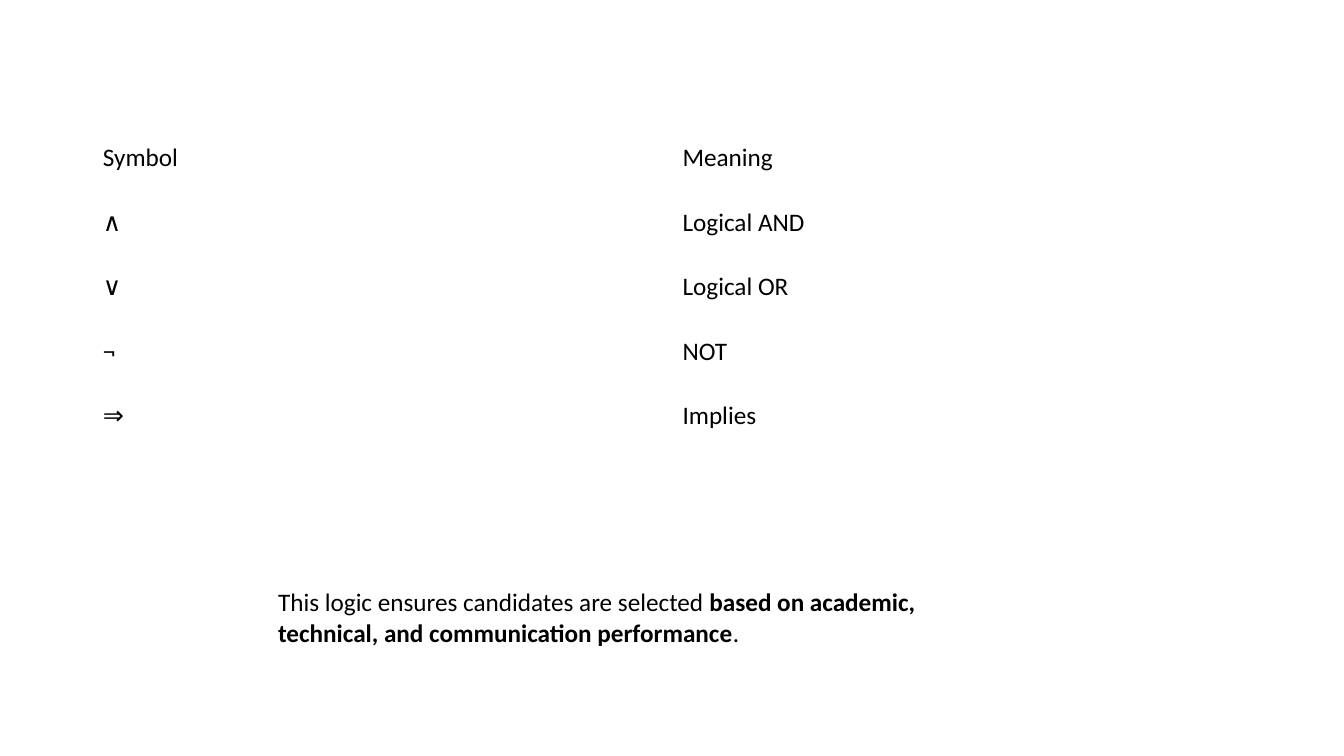
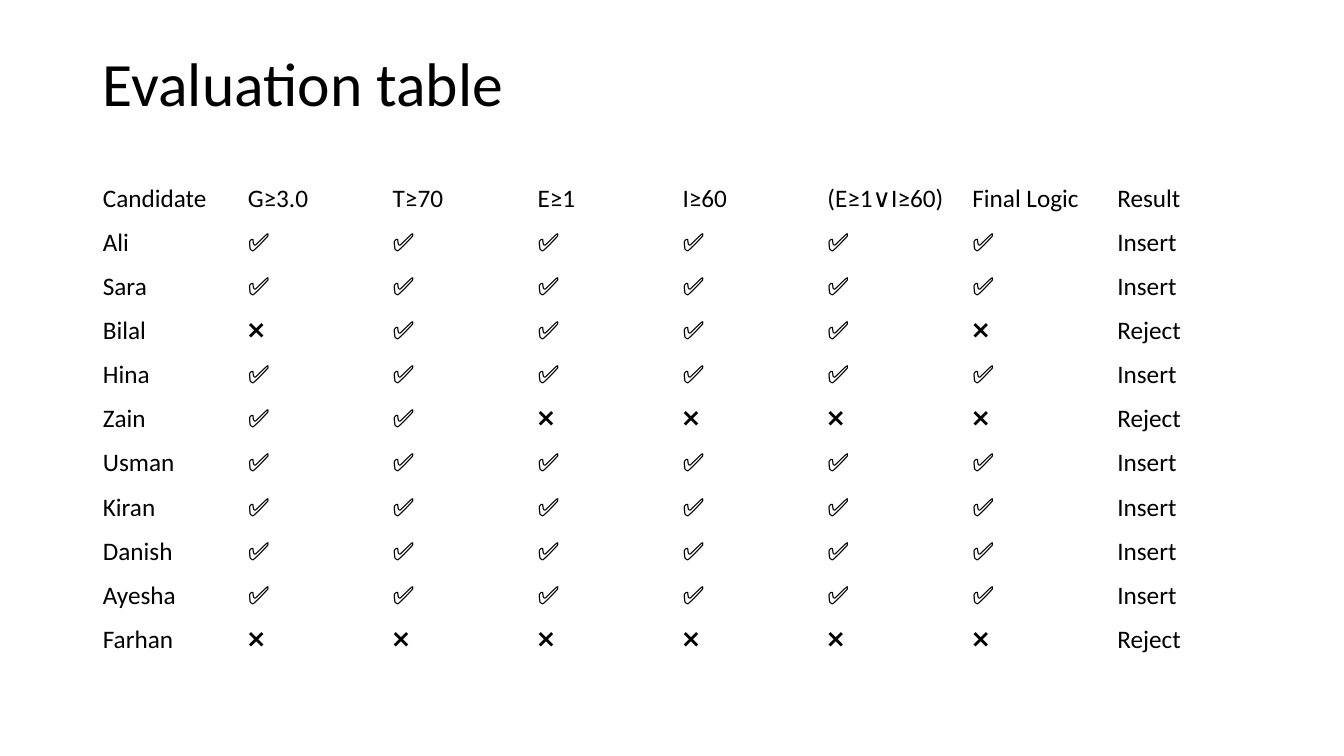
from pptx import Presentation
from pptx.dml.color import RGBColor
from pptx.enum.text import MSO_ANCHOR as Anchor, MSO_AUTO_SIZE as AutoSize, PP_ALIGN as Align
from pptx.util import Inches, Pt

COLORS = {"text": "000000", "background": "FFFFFF"}
FONT = "Calibri"
BODY_SIZE, TITLE_SIZE = 18, 44
LEFT, CONTENT_WIDTH = 0.92, 11.5
TITLE_ONLY, BLANK = 5, 6

SYMBOLS = [
    ("Symbol", "Meaning"),
    ("∧", "Logical AND"),
    ("∨", "Logical OR"),
    ("¬", "NOT"),
    ("⇒", "Implies"),
]
CONCLUSION = [
    ("This logic ensures candidates are selected ", False),
    ("based on academic, technical, and communication performance", True),
    (".", False),
]
EVALUATION_HEADER = (
    "Candidate", "G≥3.0", "T≥70", "E≥1", "I≥60", "(E≥1∨I≥60)", "Final Logic", "Result",
)
CANDIDATES = ["Ali", "Sara", "Bilal", "Hina", "Zain", "Usman", "Kiran", "Danish", "Ayesha", "Farhan"]
FAILED_CHECKS = {"Bilal": "G", "Zain": "EI", "Farhan": "GTEI"}


def style_paragraph(para, size=BODY_SIZE):
    for span in para.runs:
        span.font.name = FONT
        span.font.size = Pt(size)
        span.font.color.rgb = RGBColor.from_string(COLORS["text"])


def add_page(deck, layout):
    page = deck.slides.add_slide(deck.slide_layouts[layout])
    page.background.fill.solid()
    page.background.fill.fore_color.rgb = RGBColor.from_string(COLORS["background"])
    return page


def add_title(page, text, box):
    title = page.shapes.title
    title.left, title.top, title.width, title.height = map(Inches, box)
    frame = title.text_frame
    frame.text = text
    frame.vertical_anchor = Anchor.MIDDLE
    para = frame.paragraphs[0]
    para.alignment = Align.LEFT
    para.line_spacing = 0.9
    style_paragraph(para, TITLE_SIZE)


def add_plain_table(page, rows, box):
    left, top, width, height = map(Inches, box)
    table = page.shapes.add_table(len(rows), len(rows[0]), left, top, width, height).table
    table.first_row = table.horz_banding = False
    for row_index, row in enumerate(rows):
        for column_index, text in enumerate(row):
            cell = table.cell(row_index, column_index)
            cell.fill.background()
            cell.vertical_anchor = Anchor.MIDDLE
            cell.text = text
            style_paragraph(cell.text_frame.paragraphs[0])


def add_conclusion(page, spans, box):
    frame = page.shapes.add_textbox(*map(Inches, box)).text_frame
    frame.word_wrap = True
    frame.auto_size = AutoSize.SHAPE_TO_FIT_TEXT
    para = frame.paragraphs[0]
    for text, bold in spans:
        span = para.add_run()
        span.text = text
        span.font.bold = bold
    style_paragraph(para)


def evaluate(name):
    grade, test, experience, interview = (
        check not in FAILED_CHECKS.get(name, "") for check in "GTEI"
    )
    either = experience or interview
    final = grade and test and either
    checks = (grade, test, experience, interview, either, final)
    marks = ["✅" if passed else "❌" for passed in checks]
    return [name, *marks, "Insert" if final else "Reject"]


def add_symbols_page(deck):
    page = add_page(deck, BLANK)
    add_plain_table(page, SYMBOLS, (LEFT, 1.25, CONTENT_WIDTH, 3.2))
    add_conclusion(page, CONCLUSION, (2.66, 5.77, 6.66, 0.71))


def add_evaluation_page(deck):
    page = add_page(deck, TITLE_ONLY)
    add_title(page, "Evaluation table", (LEFT, 0.4, CONTENT_WIDTH, 0.91))
    rows = [EVALUATION_HEADER, *map(evaluate, CANDIDATES)]
    add_plain_table(page, rows, (LEFT, 1.75, CONTENT_WIDTH, 4.82))


def main():
    deck = Presentation()
    deck.slide_width, deck.slide_height = Inches(13.33), Inches(7.5)
    add_symbols_page(deck)
    add_evaluation_page(deck)
    deck.save("out.pptx")


if __name__ == "__main__":
    main()
